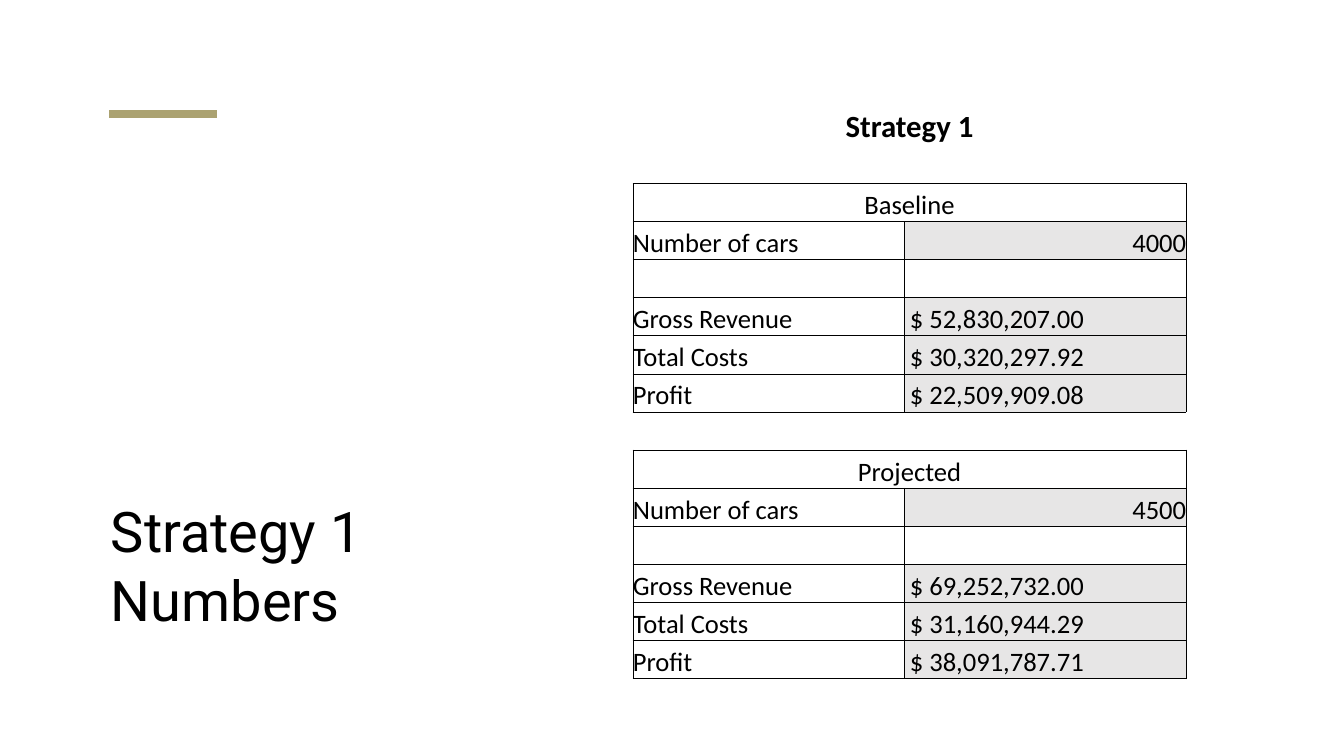
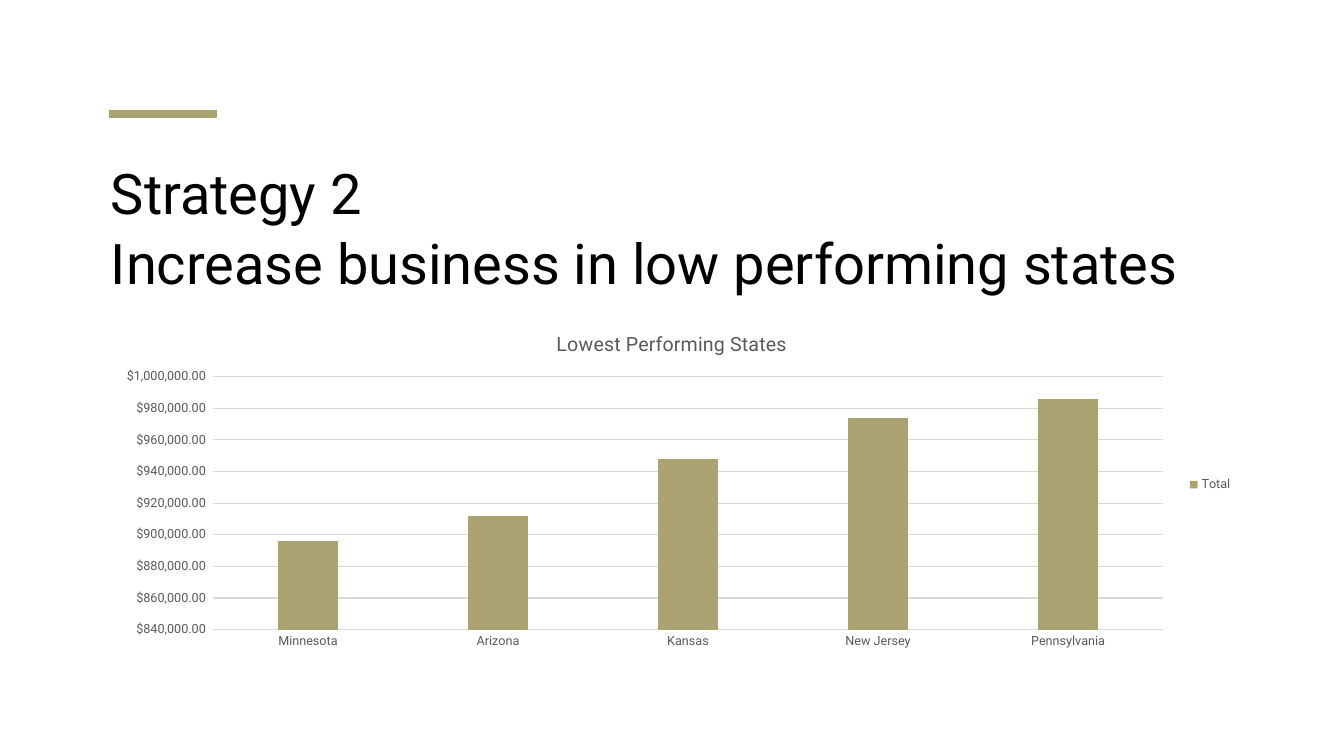
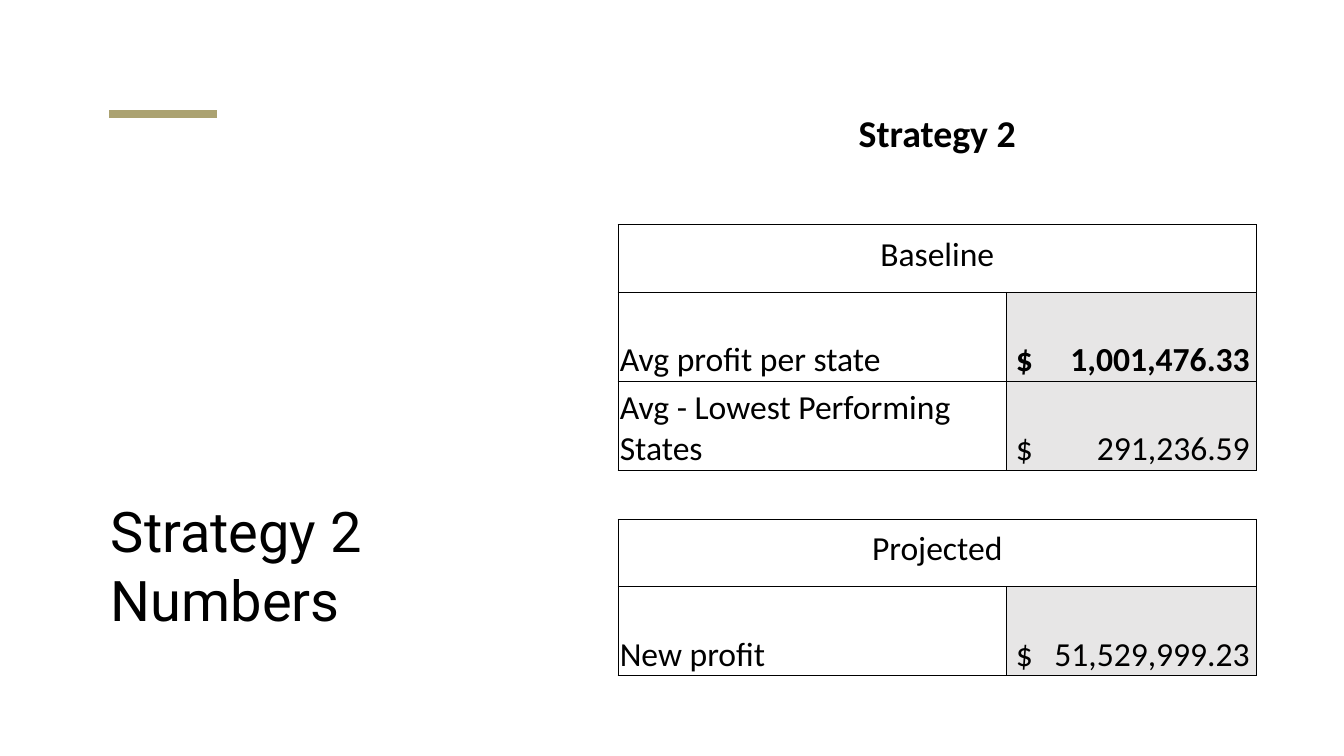
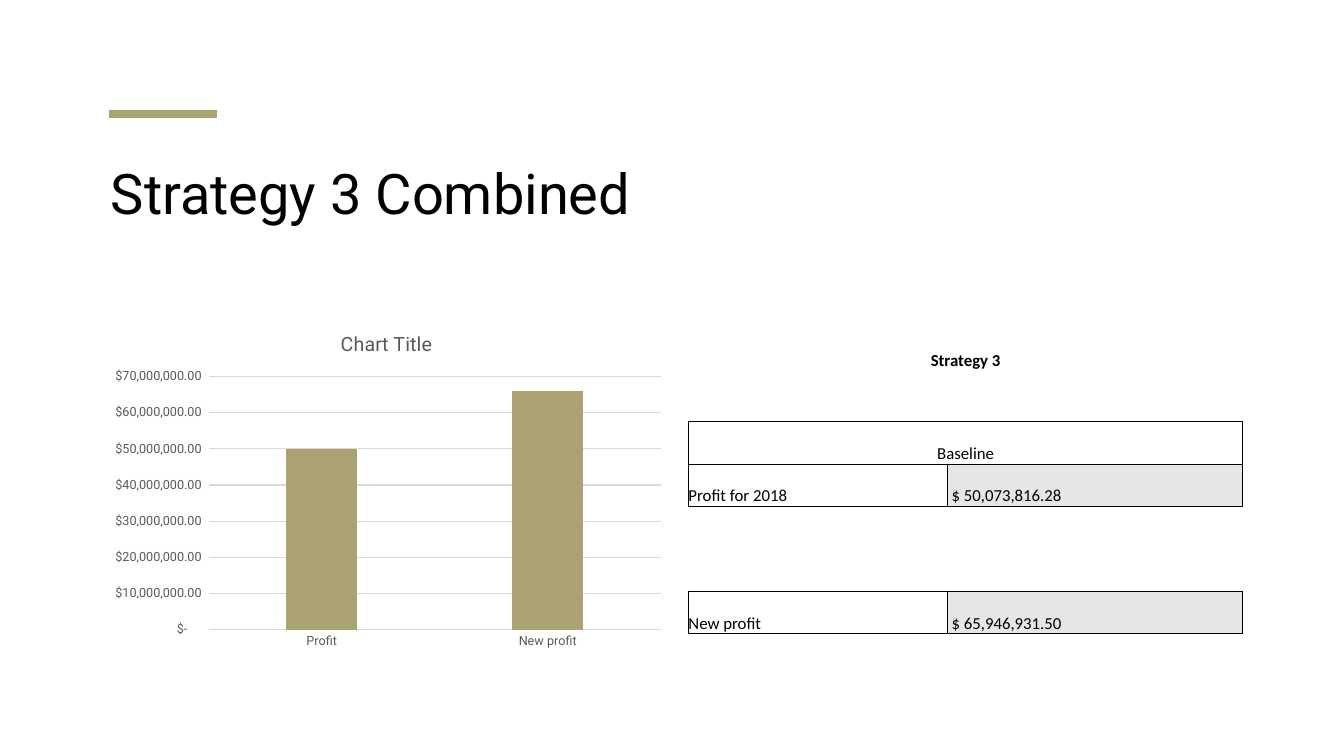
from dataclasses import dataclass

import lxml.etree
import pptx
import pptx.chart.data
import pptx.dml.color
import pptx.enum.chart
import pptx.enum.shapes
import pptx.enum.text
import pptx.oxml.ns
import pptx.util

Cm = pptx.util.Cm
Pt = pptx.util.Pt
ALIGN = pptx.enum.text.PP_ALIGN
ANCHOR = pptx.enum.text.MSO_ANCHOR

# Shared look
COLORS = {
    "text": "000000",
    "accent": "ABA271",
    "white": "FFFFFF",
    "value": "E7E6E6",
    "chart_text": "595959",
    "grid": "D9D9D9",
}
TITLE_FONT = "Roboto"
TABLE_FONT = "Calibri"
MONEY_FORMAT = '_("$"* #,##0.00_);_("$"* \\(#,##0.00\\);_("$"* "-"??_);_(@_)'
SIDE_TITLE = (2.54, 8.64, 10.54, 7.44)
TOP_TITLE = (2.54, 3.81, 28.78, 3.66)


@dataclass
class Row:
    kind: str  # title, lead, heading, item or gap
    label: str = ""
    value: str = ""
    align: int = ALIGN.LEFT
    bold: bool = False

    @property
    def ruled(self):
        return self.kind in ("heading", "item")

    @property
    def merged(self):
        return self.kind in ("title", "heading")


@dataclass
class TableLook:
    widths: tuple
    heights: dict
    size: int
    title_size: int
    pad: float = 0
    value_indent: float = 0.15
    value_tab: float = 0
    heading_anchor: int = ANCHOR.BOTTOM
    heading_pad: float = 0


def rgb(name):
    return pptx.dml.color.RGBColor.from_string(COLORS[name])


def style_font(font, name, size, color="text", bold=False):
    font.name = name
    font.size = Pt(size)
    font.bold = bold
    font.color.rgb = rgb(color)


def sub_element(parent, tag, **attributes):
    return lxml.etree.SubElement(parent, pptx.oxml.ns.qn(tag), attributes)


# Slide with accent bar and title
def add_slide(deck, title, area, anchor):
    page = deck.slides.add_slide(deck.slide_layouts[5])
    bar = page.shapes.add_connector(
        pptx.enum.shapes.MSO_CONNECTOR.STRAIGHT, Cm(2.75), Cm(2.88), Cm(5.47), Cm(2.88))
    bar.line.color.rgb = rgb("accent")
    bar.line.width = Pt(6)
    sub_element(bar._element.spPr, "a:effectLst")

    box = page.shapes.title
    box.left, box.top, box.width, box.height = (Cm(length) for length in area)
    frame = box.text_frame
    frame.text = title
    frame.word_wrap = True
    frame.auto_size = pptx.enum.text.MSO_AUTO_SIZE.NONE
    frame.vertical_anchor = anchor
    para = frame.paragraphs[0]
    para.alignment = ALIGN.LEFT
    para.line_spacing = 1.04
    for span in para.runs:
        style_font(span.font, TITLE_FONT, 40)
    return page


# Tables
def set_border(cell, side, drawn):
    properties = cell._tc.get_or_add_tcPr()
    line = sub_element(properties, f"a:ln{side}", w=str(Pt(0.5)))
    if drawn:
        fill = sub_element(line, "a:solidFill")
        sub_element(fill, "a:srgbClr", val=COLORS["text"])
    else:
        sub_element(line, "a:noFill")


def set_margins(cell, left, top, right, bottom):
    cell.margin_left, cell.margin_top = Cm(left), Cm(top)
    cell.margin_right, cell.margin_bottom = Cm(right), Cm(bottom)


def write_cell(cell, text, size, align, bold):
    para = cell.text_frame.paragraphs[0]
    para.text = text
    para.alignment = align
    for span in para.runs:
        style_font(span.font, TABLE_FONT, size, bold=bold)
    return para


def fill_row(cells, row, look):
    for cell in cells:
        cell.vertical_anchor = ANCHOR.BOTTOM
        set_margins(cell, look.pad, look.pad, look.pad, 0)
    label, value = cells
    if row.merged:
        label.merge(value)
        size = look.title_size if row.kind == "title" else look.size
        write_cell(label, row.label, size, ALIGN.CENTER, row.kind == "title")
        label.vertical_anchor = look.heading_anchor
        set_margins(label, *[look.heading_pad] * 4)
    elif row.label:
        write_cell(label, row.label, look.size, ALIGN.LEFT, False)
        para = write_cell(value, row.value, look.size, row.align, row.bold)
        if row.align == ALIGN.LEFT:
            value.margin_left = Cm(look.value_indent)
        if look.value_tab:
            tabs = sub_element(para._p.get_or_add_pPr(), "a:tabLst")
            sub_element(tabs, "a:tab", pos=str(Cm(look.value_tab)), algn="r")


def add_table(page, left, top, rows, look):
    heights = [look.heights[row.kind] for row in rows]
    table = page.shapes.add_table(
        len(rows), 2, Cm(left), Cm(top), Cm(sum(look.widths)), Cm(sum(heights))).table
    table.first_row = table.horz_banding = False
    for column, width in zip(table.columns, look.widths):
        column.width = Cm(width)
    ruled = [False] + [row.ruled for row in rows] + [False]
    for index, row in enumerate(rows):
        table.rows[index].height = Cm(heights[index])
        above, here, below = ruled[index:index + 3]
        cells = list(table.rows[index].cells)
        for cell in cells:
            sides = {"L": here, "R": here, "T": here or above, "B": here or below}
            for side, drawn in sides.items():
                set_border(cell, side, drawn)
            cell.fill.solid()
            cell.fill.fore_color.rgb = rgb("white")
        if row.value:
            cells[1].fill.fore_color.rgb = rgb("value")
        fill_row(cells, row, look)


# Charts
def add_column_chart(page, area, title, series_name, values, scale, legend=False):
    data = pptx.chart.data.CategoryChartData()
    data.categories = list(values)
    data.add_series(series_name, list(values.values()))
    chart = page.shapes.add_chart(
        pptx.enum.chart.XL_CHART_TYPE.COLUMN_CLUSTERED,
        *(Cm(length) for length in area), data).chart
    style_font(chart.font, TITLE_FONT, 10)

    chart.has_title = True
    para = chart.chart_title.text_frame.paragraphs[0]
    para.text = title
    style_font(para.runs[0].font, TITLE_FONT, 14, "chart_text")
    chart.chart_title.include_in_layout = False

    plot = chart.plots[0]
    plot.gap_width = 219
    plot.overlap = -27
    plot.vary_by_categories = False
    bars = plot.series[0].format.fill
    bars.solid()
    bars.fore_color.rgb = rgb("accent")

    for axis in (chart.category_axis, chart.value_axis):
        axis.major_tick_mark = pptx.enum.chart.XL_TICK_MARK.NONE
        style_font(axis.tick_labels.font, TITLE_FONT, 9, "chart_text")
    amounts = chart.value_axis
    amounts.minimum_scale, amounts.maximum_scale, amounts.major_unit = scale
    amounts.tick_labels.number_format = MONEY_FORMAT
    amounts.tick_labels.number_format_is_linked = False
    amounts.format.line.fill.background()
    for line in (chart.category_axis.format.line, amounts.major_gridlines.format.line):
        line.color.rgb = rgb("grid")
        line.width = Pt(0.75)

    chart.has_legend = legend
    if legend:
        chart.legend.position = pptx.enum.chart.XL_LEGEND_POSITION.RIGHT
        chart.legend.include_in_layout = False
        style_font(chart.legend.font, TITLE_FONT, 9, "chart_text")


# Slides
def car_rows(heading, cars, revenue, costs, profit):
    return [
        Row("heading", heading),
        Row("item", "Number of cars", cars, ALIGN.RIGHT),
        Row("item"),
        Row("item", "Gross Revenue", revenue),
        Row("item", "Total Costs", costs),
        Row("item", "Profit", profit),
    ]


def add_strategy_1_numbers(deck):
    page = add_slide(deck, "Strategy 1\vNumbers", SIDE_TITLE, ANCHOR.BOTTOM)
    rows = [
        Row("title", "Strategy 1"),
        Row("lead"),
        *car_rows("Baseline", "4000", "$ 52,830,207.00", "$ 30,320,297.92", "$ 22,509,909.08"),
        Row("gap"),
        *car_rows("Projected", "4500", "$ 69,252,732.00", "$ 31,160,944.29", "$ 38,091,787.71"),
    ]
    heights = {"title": 1.09, "lead": 0.96, "heading": 0.96, "item": 0.96, "gap": 0.96}
    add_table(page, 15.95, 2.57, rows, TableLook((6.83, 7.11), heights, 19, 22))


def add_strategy_2_chart(deck):
    page = add_slide(deck, "Strategy 2\vIncrease business in low performing states",
                     TOP_TITLE, ANCHOR.TOP)
    values = {"Minnesota": 896000, "Arizona": 912000, "Kansas": 948000,
              "New Jersey": 974000, "Pennsylvania": 986000}
    add_column_chart(page, (2.54, 7.92, 28.78, 8.59), "Lowest Performing States",
                     "Total", values, (840000, 1000000, 20000), legend=True)


def add_strategy_2_numbers(deck):
    page = add_slide(deck, "Strategy 2 Numbers", SIDE_TITLE, ANCHOR.BOTTOM)
    rows = [
        Row("title", "Strategy 2"),
        Row("lead"),
        Row("heading", "Baseline"),
        Row("item", "Avg profit per state", "$\t1,001,476.33", bold=True),
        Row("item", "Avg - Lowest Performing States", "$\t291,236.59"),
        Row("gap"),
        Row("heading", "Projected"),
        Row("item", "New profit", "$\t51,529,999.23"),
    ]
    heights = {"title": 1.85, "lead": 1.24, "heading": 1.7, "item": 2.24, "gap": 1.24}
    look = TableLook((9.78, 6.32), heights, 24, 27, pad=0.05, value_indent=0.25,
                     value_tab=5.9, heading_anchor=ANCHOR.TOP, heading_pad=0.25)
    add_table(page, 15.57, 2.57, rows, look)


def add_strategy_3(deck):
    page = add_slide(deck, "Strategy 3 Combined", TOP_TITLE, ANCHOR.TOP)
    add_column_chart(page, (2.54, 7.92, 14.4, 8.59), "Chart Title", "Series 1",
                     {"Profit": 50000000, "New profit": 66000000},
                     (0, 70000000, 10000000))
    rows = [
        Row("title", "Strategy 3"),
        Row("lead"),
        Row("heading", "Baseline"),
        Row("item", "Profit for 2018", "$ 50,073,816.28"),
        Row("gap"),
        Row("gap"),
        Row("item", "New profit", "$ 65,946,931.50"),
    ]
    heights = {"title": 1.27, "lead": 1.27, "heading": 1.07, "item": 1.07, "gap": 1.07}
    look = TableLook((6.53, 7.44), heights, 12, 12, value_indent=0.1)
    add_table(page, 17.35, 8.08, rows, look)


def main():
    deck = pptx.Presentation()
    deck.slide_width, deck.slide_height = Cm(33.87), Cm(19.05)
    add_strategy_1_numbers(deck)
    add_strategy_2_chart(deck)
    add_strategy_2_numbers(deck)
    add_strategy_3(deck)
    deck.save("out.pptx")


if __name__ == "__main__":
    main()
